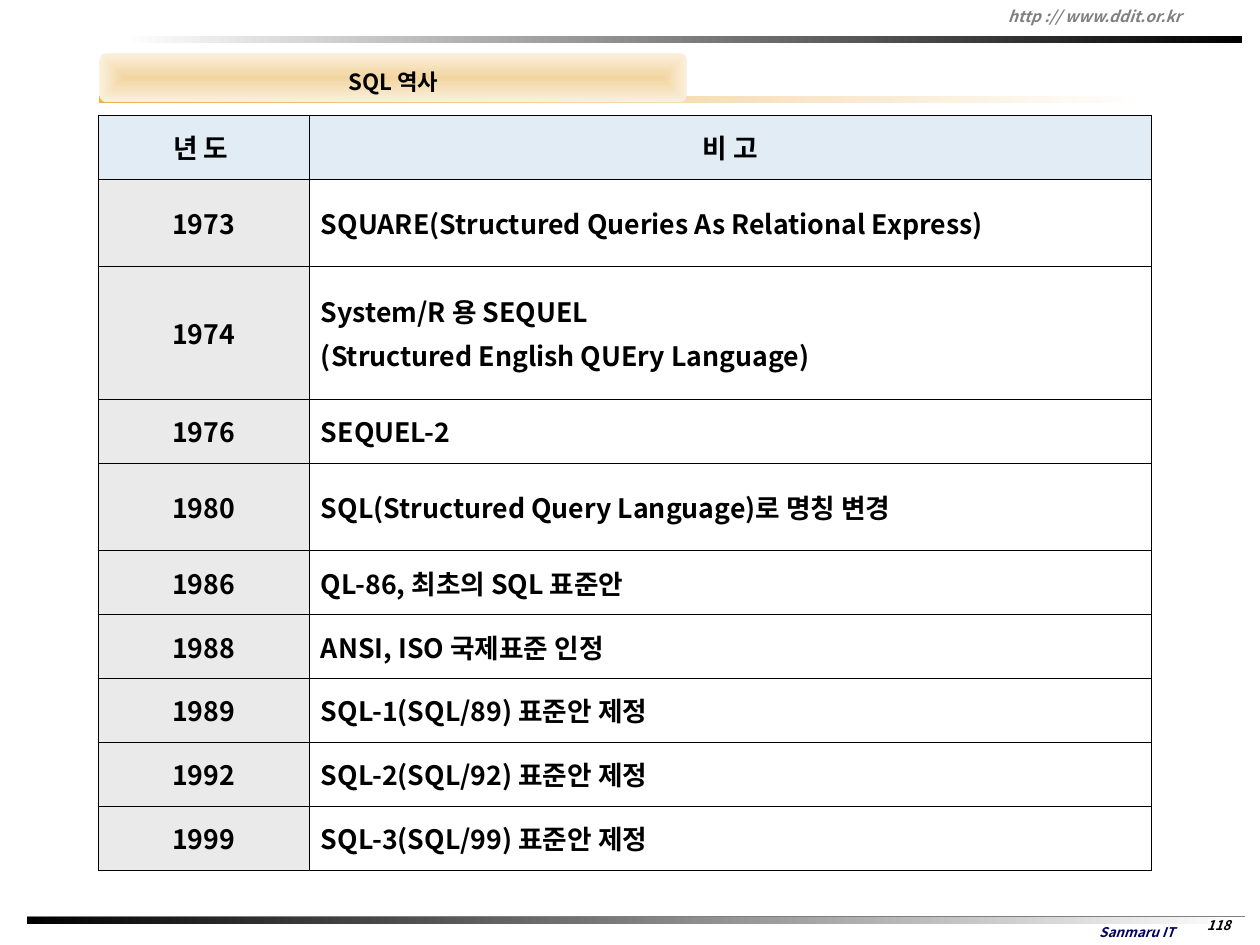
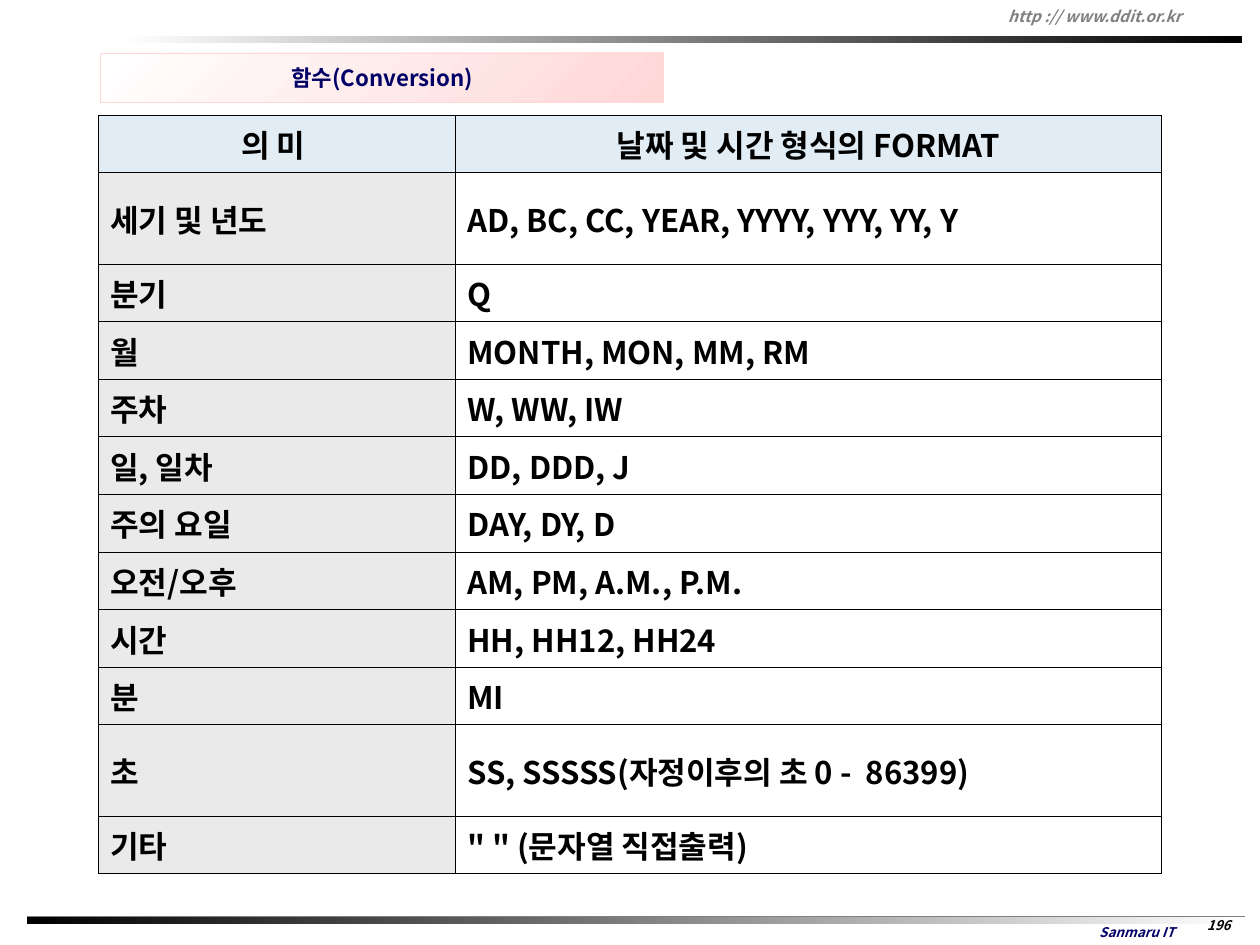
from lxml.etree import SubElement
from pptx import Presentation
from pptx.dml.color import RGBColor
from pptx.enum.shapes import MSO_CONNECTOR, MSO_SHAPE
from pptx.enum.text import MSO_ANCHOR, MSO_AUTO_SIZE, PP_ALIGN
from pptx.oxml.ns import qn
from pptx.util import Cm, Pt

FONT = "Noto Sans CJK KR"
BLACK = RGBColor(0, 0, 0)
WHITE = RGBColor(255, 255, 255)
GRAY = RGBColor(0x80, 0x80, 0x80)
NAVY = RGBColor(0, 0, 0x66)
HEADER_BLUE = RGBColor(0xE2, 0xEC, 0xF4)
LABEL_GRAY = RGBColor(0xEA, 0xEA, 0xEA)
GOLD = RGBColor(0xE8, 0xB3, 0x54)
SAND = RGBColor(0xF2, 0xD5, 0xA0)
CREAM = RGBColor(0xFB, 0xF1, 0xDF)
PINK = RGBColor(0xFF, 0xD7, 0xD7)

TABLE_LEFT, TABLE_TOP = 3.12, 3.66
ROW, TALL_ROW, DOUBLE_ROW = 2.03, 2.77, 4.22

SQL_HISTORY = [
    ("년 도 ", "비 고", ROW),
    ("1973", "SQUARE(Structured Queries As Relational Express)", TALL_ROW),
    ("1974", "System/R 용 SEQUEL\n(Structured English QUEry Language)", DOUBLE_ROW),
    ("1976", "SEQUEL-2", ROW),
    ("1980", "SQL(Structured Query Language)로 명칭 변경", TALL_ROW),
    ("1986", "QL-86, 최초의 SQL 표준안", ROW),
    ("1988", "ANSI, ISO 국제표준 인정", ROW),
    ("1989", "SQL-1(SQL/89) 표준안 제정", ROW),
    ("1992", "SQL-2(SQL/92) 표준안 제정", ROW),
    ("1999", "SQL-3(SQL/99) 표준안 제정", ROW),
]

FORMAT_ROW, TALL_FORMAT_ROW = 1.82, 2.9
DATE_FORMATS = [
    ("의 미 ", "날짜 및 시간 형식의 FORMAT", FORMAT_ROW),
    ("세기 및 년도", "AD, BC, CC, YEAR, YYYY, YYY, YY, Y", TALL_FORMAT_ROW),
    ("분기", "Q", FORMAT_ROW),
    ("월", "MONTH, MON, MM, RM", FORMAT_ROW),
    ("주차", "W, WW, IW", FORMAT_ROW),
    ("일, 일차", "DD, DDD, J", FORMAT_ROW),
    ("주의 요일", "DAY, DY, D", FORMAT_ROW),
    ("오전/오후", "AM, PM, A.M., P.M.", FORMAT_ROW),
    ("시간", "HH, HH12, HH24", FORMAT_ROW),
    ("분", "MI", FORMAT_ROW),
    ("초", "SS, SSSSS(자정이후의 초 0 -  86399)", TALL_FORMAT_ROW),
    ("기타", '" " (문자열 직접출력)', FORMAT_ROW),
]


def box_cm(left, top, width, height):
    return Cm(left), Cm(top), Cm(width), Cm(height)


def write(tf, text, size, color, align=PP_ALIGN.LEFT, italic=False):
    tf.text = text
    for i, p in enumerate(tf.paragraphs):
        p.alignment = align
        if i:
            p.space_before = Pt(size * 0.2)
        for r in p.runs:
            r.font.size = Pt(size)
            r.font.name = FONT
            r.font.bold = True
            r.font.italic = italic
            r.font.color.rgb = color
            SubElement(r.font._element, qn("a:ea"), typeface=FONT)


def fill_gradient(fill, start, end, angle=0):
    fill.gradient()
    fill.gradient_angle = angle
    for stop, color, position in zip(fill.gradient_stops, (start, end), (0, 1)):
        stop.color.rgb = color
        stop.position = position


def radiate_from_center(sp):
    """Turn the linear gradient of a shape into one that follows its outline."""
    grad = sp.element.spPr.find(qn("a:gradFill"))
    grad.remove(grad.find(qn("a:lin")))
    outline = SubElement(grad, qn("a:path"), path="shape")
    SubElement(outline, qn("a:fillToRect"), l="50000", t="50000", r="50000", b="50000")


def add_bar(s, box, start, end, preset=MSO_SHAPE.RECTANGLE):
    sp = s.shapes.add_shape(preset, *box_cm(*box))
    sp.shadow.inherit = False
    sp.line.fill.background()
    fill_gradient(sp.fill, start, end)
    return sp


def add_label(s, box, text, size, color, align):
    sp = s.shapes.add_textbox(*box_cm(*box))
    tf = sp.text_frame
    tf.word_wrap = True
    tf.vertical_anchor = MSO_ANCHOR.MIDDLE
    write(tf, text, size, color, align, italic=True)
    return sp


def add_page_number(s, number):
    sp = add_label(s, (37.69, 28.98, 2, 0.79), number, 12, BLACK, PP_ALIGN.CENTER)
    tf = sp.text_frame
    tf.margin_left = tf.margin_right = tf.margin_top = tf.margin_bottom = 0


def furnish_layout(layout, s):
    """Draw the header and footer on a slide, then hand them to its layout."""
    rule = s.shapes.add_connector(
        MSO_CONNECTOR.STRAIGHT, Cm(0.86), Cm(29.11), Cm(39.52), Cm(29.11))
    rule.line.color.rgb = GRAY
    rule.line.width = Pt(1.5)
    SubElement(rule.element.spPr, qn("a:effectLst"))
    parts = [
        rule,
        add_bar(s, (0.86, 29.11, 38.66, 0.23), BLACK, WHITE),
        add_label(s, (33.68, 29.16, 4.83, 0.84), "Sanmaru IT", 12, NAVY, PP_ALIGN.CENTER),
        add_bar(s, (3.86, 1.14, 35.56, 0.23), WHITE, BLACK),
        add_label(s, (31.75, 0.03, 8.15, 0.97), "http :// www.ddit.or.kr", 14, GRAY,
                  PP_ALIGN.LEFT),
    ]
    for part in parts:
        layout.shapes.element.append(part.element)


def place_title(s, box, text, color):
    title = s.shapes.title
    title.left, title.top, title.width, title.height = box_cm(*box)
    tf = title.text_frame
    tf.auto_size = MSO_AUTO_SIZE.NONE
    tf.word_wrap = False
    tf.vertical_anchor = MSO_ANCHOR.MIDDLE
    write(tf, text, 20, color, PP_ALIGN.CENTER)
    return title


def gold_title(s, text):
    box = (3.15, 1.68, 18.67, 1.57)
    add_bar(s, (3.15, 3.05, 33.29, 0.23), GOLD, WHITE)
    plate = add_bar(s, box, SAND, CREAM, MSO_SHAPE.ROUNDED_RECTANGLE)
    radiate_from_center(plate)
    title = place_title(s, box, text, BLACK)
    title.text_frame.paragraphs[0].line_spacing = 1.3
    plate.element.addnext(title.element)


def pink_title(s, text):
    title = place_title(s, (3.2, 1.68, 17.86, 1.57), text, NAVY)
    fill_gradient(title.fill, WHITE, PINK, angle=315)
    title.line.color.rgb = PINK
    title.line.width = Pt(0.75)


def add_borders(cell):
    tc_pr = cell._tc.get_or_add_tcPr()
    for side in ("a:lnL", "a:lnR", "a:lnT", "a:lnB"):
        ln = SubElement(tc_pr, qn(side), w=str(Pt(1)))
        SubElement(SubElement(ln, qn("a:solidFill")), qn("a:srgbClr"), val=str(BLACK))


def add_lookup_table(s, rows, widths, size, label_align):
    """Table with a header row and a shaded label column."""
    heights = [row[2] for row in rows]
    table = s.shapes.add_table(
        len(rows), 2, *box_cm(TABLE_LEFT, TABLE_TOP, sum(widths), sum(heights))).table
    table.horz_banding = table.first_row = False
    for column, width in zip(table.columns, widths):
        column.width = Cm(width)
    for i, (label, detail, height) in enumerate(rows):
        table.rows[i].height = Cm(height)
        for j, text in enumerate((label, detail)):
            cell = table.cell(i, j)
            cell.vertical_anchor = MSO_ANCHOR.MIDDLE
            cell.margin_left = cell.margin_right = Cm(0.38)
            cell.margin_top = cell.margin_bottom = Cm(0.2)
            add_borders(cell)
            if i == 0 or j == 0:
                cell.fill.solid()
                cell.fill.fore_color.rgb = LABEL_GRAY if i else HEADER_BLUE
            else:
                cell.fill.background()
            align = PP_ALIGN.CENTER if i == 0 else (label_align, PP_ALIGN.LEFT)[j]
            write(cell.text_frame, text, size, BLACK, align)


def sql_history_slide(s):
    gold_title(s, "SQL 역사")
    add_lookup_table(s, SQL_HISTORY, (6.69, 26.75), 24, PP_ALIGN.CENTER)
    add_page_number(s, "118")


def conversion_slide(s):
    pink_title(s, "함수(Conversion)")
    add_lookup_table(s, DATE_FORMATS, (11.34, 22.4), 28, PP_ALIGN.LEFT)
    add_page_number(s, "196")


def main():
    prs = Presentation()
    prs.slide_width, prs.slide_height = Cm(40), Cm(30)
    layout = prs.slide_layouts[5]
    history, conversion = (prs.slides.add_slide(layout) for _ in range(2))
    furnish_layout(layout, history)
    sql_history_slide(history)
    conversion_slide(conversion)
    prs.save("out.pptx")


if __name__ == "__main__":
    main()
